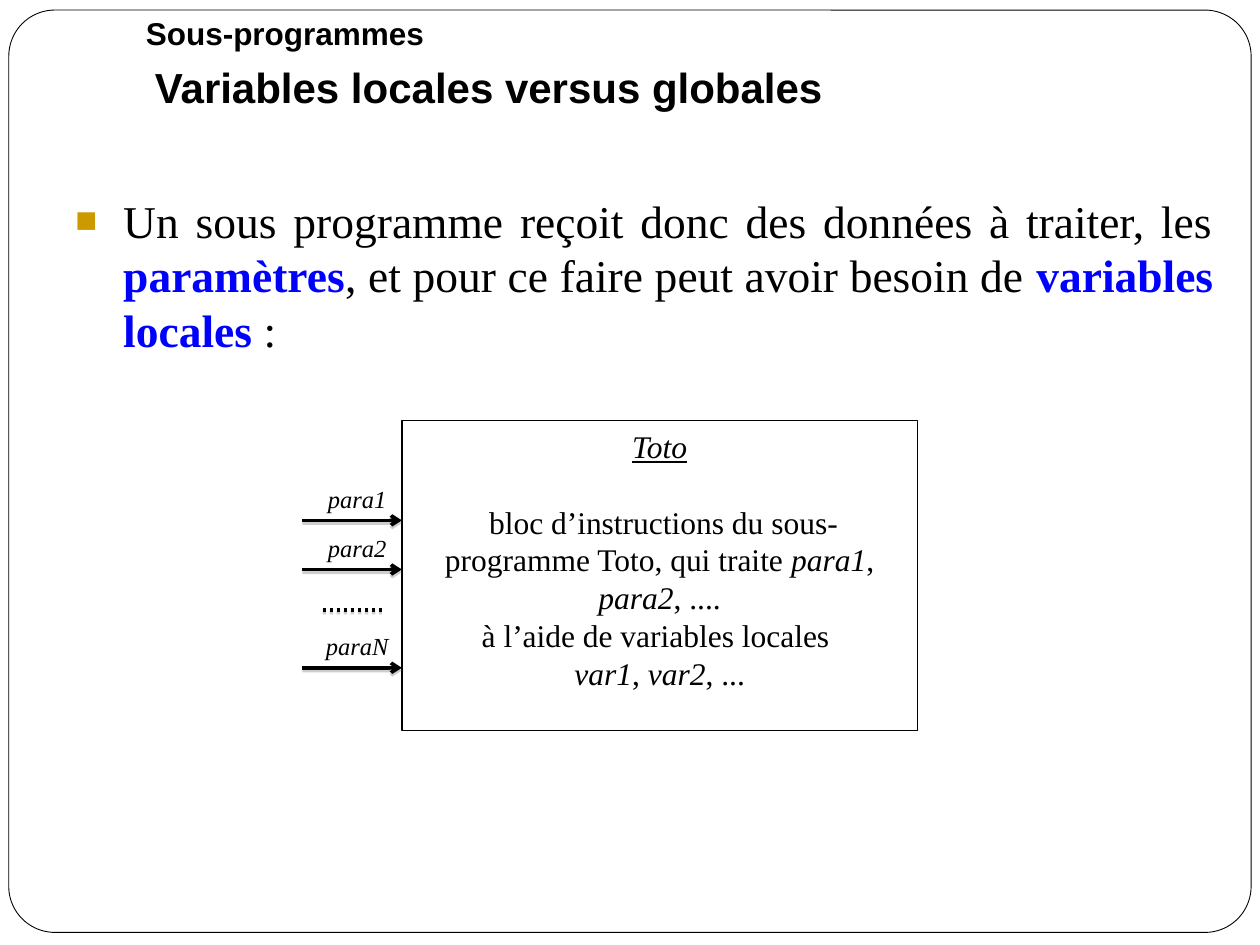
from typing import NamedTuple

from lxml import etree
from pptx import Presentation
from pptx import util as u
from pptx.dml.color import RGBColor
from pptx.enum import dml, shapes, text
from pptx.oxml import ns

BLACK = RGBColor(0, 0, 0)
WHITE = RGBColor(255, 255, 255)
BLUE = RGBColor(0, 0, 255)
GOLD = RGBColor(0xCC, 0x99, 0)
GRAY = RGBColor(0x80, 0x80, 0x80)
SANS = "Arial"
SERIF = "Times New Roman"
LEFT = text.PP_ALIGN.LEFT
CENTER = text.PP_ALIGN.CENTER


class Run(NamedTuple):
    words: str
    size: float = 18
    face: str = SERIF
    color: RGBColor = BLACK
    bold: bool = False
    slant: bool = False
    under: bool = False


class Param(NamedTuple):
    name: str
    row: int


def node(parent, tag: str, **attrs):
    return etree.SubElement(parent, ns.qn(tag), attrs)


def write(para, runs: list[Run], align=LEFT) -> None:
    para.alignment = align
    for item in runs:
        run = para.add_run()
        run.text = item.words
        font = run.font
        font.size, font.name = u.Pt(item.size), item.face
        font.bold, font.italic, font.underline = item.bold, item.slant, item.under
        font.color.rgb = item.color


def add_text(slide, left: float, top: float, width: float, height: float,
             runs: list[Run], align=LEFT):
    box = slide.shapes.add_textbox(*map(u.Inches, (left, top, width, height)))
    box.text_frame.word_wrap = True
    para = box.text_frame.paragraphs[0]
    write(para, runs, align)
    return para


def add_box(slide, kind, left: float, top: float, width: float, height: float,
            weight: float):
    box = slide.shapes.add_shape(kind, *map(u.Inches, (left, top, width, height)))
    box.shadow.inherit = False
    box.line.color.rgb = BLACK
    box.line.width = u.Pt(weight)
    return box


def add_line(slide, start: float, end: float, y: float, dots: bool = False) -> None:
    line = slide.shapes.add_connector(
        shapes.MSO_CONNECTOR.STRAIGHT, *map(u.Inches, (start, y, end, y)))
    line.line.color.rgb = BLACK
    line.line.width = u.Pt(2)
    if dots:
        line.line.dash_style = dml.MSO_LINE.ROUND_DOT
    else:
        node(line.line._get_or_add_ln(), "a:tailEnd", type="arrow")
    effect = node(line.element.spPr, "a:effectLst")
    shade = node(effect, "a:outerShdw", dist=str(u.Pt(1.6)), dir="5400000",
                 rotWithShape="0")
    tint = node(shade, "a:srgbClr", val=str(GRAY))
    node(tint, "a:alpha", val="38000")


def add_heads(slide) -> None:
    title = slide.shapes.title
    title.left, title.top, title.width, title.height = map(
        u.Inches, (1.13, 0.44, 8.87, 0.49))
    frame = title.text_frame
    frame.word_wrap = True
    frame.auto_size = text.MSO_AUTO_SIZE.NONE
    frame.vertical_anchor = text.MSO_ANCHOR.MIDDLE
    write(frame.paragraphs[0],
          [Run("Variables locales versus globales", 24, SANS, bold=True)])
    add_text(slide, 1.06, 0.06, 8.94, 0.4,
             [Run("Sous-programmes", 18, SANS, bold=True)])


def add_border(slide) -> None:
    border = add_box(slide, shapes.MSO_SHAPE.ROUNDED_RECTANGLE,
                     0.07, 0.08, 9.86, 7.32, 0.5)
    border.adjustments[0] = 0.05
    border.fill.solid()
    border.fill.fore_color.rgb = WHITE
    slide.shapes.title.element.addprevious(border.element)


def add_body(slide) -> None:
    para = add_text(slide, 0.5, 1.48, 9.23, 5.55, [
        Run("Un sous programme reçoit donc des données à traiter, les ", 26),
        Run("paramètres", 26, color=BLUE, bold=True),
        Run(", et pour ce faire peut avoir besoin de ", 26),
        Run("variables locales", 26, color=BLUE, bold=True),
        Run(" :", 26),
    ], text.PP_ALIGN.JUSTIFY)
    props = para._p.get_or_add_pPr()
    props.set("marL", str(u.Inches(0.38)))
    props.set("indent", str(u.Inches(-0.38)))
    node(node(props, "a:buClr"), "a:srgbClr", val=str(GOLD))
    node(props, "a:buSzPct", val="80000")
    node(props, "a:buFont", typeface=SANS)
    node(props, "a:buChar", char="■")


def add_block(slide) -> None:
    block = add_box(slide, shapes.MSO_SHAPE.RECTANGLE, 3.19, 3.34, 4.09, 2.46, 0.75)
    block.fill.background()
    frame = block.text_frame
    frame.word_wrap = True
    frame.vertical_anchor = text.MSO_ANCHOR.TOP
    lines = [
        [Run("Toto", slant=True, under=True)],
        [Run(" bloc d’instructions du sous-programme Toto, qui traite "),
         Run("para1", slant=True), Run(", "),
         Run("para2", slant=True), Run(", ....")],
        [Run("à l’aide de variables locales ")],
        [Run("var1", slant=True), Run(", "),
         Run("var2", slant=True), Run(", ...")],
    ]
    for i, runs in enumerate(lines):
        para = frame.paragraphs[0] if i == 0 else frame.add_paragraph()
        write(para, runs, CENTER)
    frame.paragraphs[1].space_before = u.Pt(21.6)


def add_params(slide) -> None:
    first, pitch = 4.13, 0.39
    for param in (Param("para1", 0), Param("para2", 1), Param("paraN", 3)):
        y = first + param.row * pitch
        add_text(slide, 2.4, y - 0.34, 0.87, 0.34,
                 [Run(param.name, 14, slant=True)], CENTER)
        add_line(slide, 2.4, 3.19, y)
    add_line(slide, 2.56, 3.03, 4.84, dots=True)


def main() -> None:
    deck = Presentation()
    deck.slide_width, deck.slide_height = u.Inches(10), u.Inches(7.5)
    slide = deck.slides.add_slide(deck.slide_layouts[5])
    add_heads(slide)
    add_border(slide)
    add_body(slide)
    add_block(slide)
    add_params(slide)
    deck.save("out.pptx")


if __name__ == "__main__":
    main()
